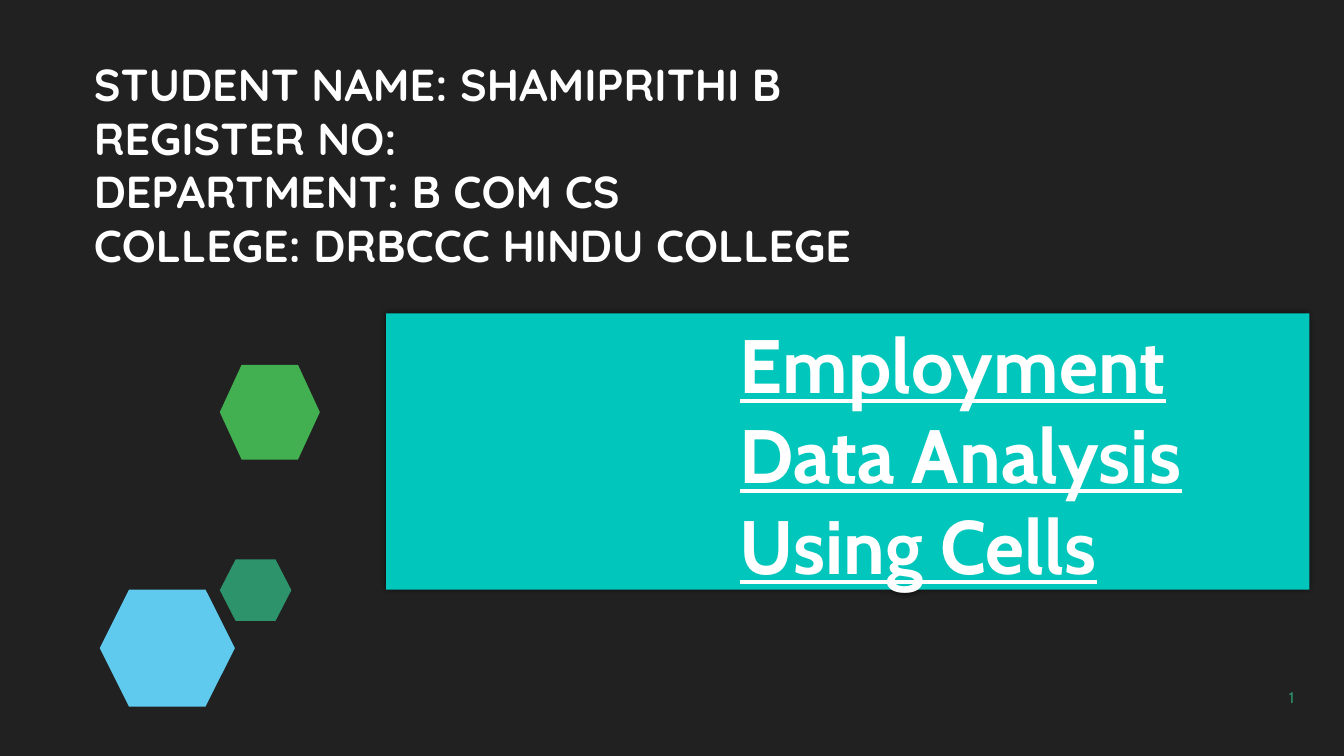
from lxml import etree
from pptx import Presentation
from pptx.dml.color import RGBColor
from pptx.enum.text import MSO_ANCHOR, MSO_AUTO_SIZE, PP_ALIGN
from pptx.oxml.ns import qn
from pptx.util import Pt

TOP, BOTTOM = MSO_ANCHOR.TOP, MSO_ANCHOR.BOTTOM
LEFT, RIGHT = PP_ALIGN.LEFT, PP_ALIGN.RIGHT
NO_AUTOFIT = MSO_AUTO_SIZE.NONE

DARK = RGBColor(0x21, 0x21, 0x21)
WHITE = RGBColor(0xFF, 0xFF, 0xFF)
TURQUOISE = RGBColor(0x00, 0xC6, 0xBB)
BLUE = RGBColor(0x5F, 0xCA, 0xEE)
TEAL = RGBColor(0x2D, 0x93, 0x6B)
GREEN = RGBColor(0x42, 0xAF, 0x51)

TITLE_FONT = "Cabin"
DETAILS_FONT = "Quicksand"

# left, top, width, height, corner inset, colour
HEXAGONS = [
    (71.3, 421.2, 96.5, 83.5, 20.9, BLUE),
    (157, 399.6, 51.1, 43.9, 11.3, TEAL),
    (157, 260.6, 71.5, 67.7, 15.6, GREEN),
]
DETAILS = [
    "STUDENT NAME: SHAMIPRITHI B",
    "REGISTER NO:",
    "DEPARTMENT: B COM CS",
    "COLLEGE: DRBCCC HINDU COLLEGE",
]


def place(sp, left, top, width, height):
    sp.left, sp.top, sp.width, sp.height = map(Pt, (left, top, width, height))


def add_hexagon(slide, left, top, width, height, inset, color):
    right, bottom, middle = left + width, top + height, top + height / 2
    corners = [
        (right - inset, top), (left + inset, top), (left, middle),
        (left + inset, bottom), (right - inset, bottom), (right, middle),
    ]
    points = [(Pt(x), Pt(y)) for x, y in corners]
    builder = slide.shapes.build_freeform(*points[0])
    builder.add_line_segments(points[1:], close=True)
    sp = builder.convert_to_shape()
    sp.fill.solid()
    sp.fill.fore_color.rgb = color
    sp.line.fill.background()
    sp.shadow.inherit = False


def set_frame(tf, anchor, margins=None):
    tf.word_wrap = True
    tf.auto_size = NO_AUTOFIT
    tf.vertical_anchor = anchor
    if margins:
        tf.margin_left, tf.margin_top, tf.margin_right, tf.margin_bottom = map(Pt, margins)


def format_paragraph(p, font, size, color, align=LEFT, before=0, bold=False, spacing=0):
    """Format a paragraph and its runs; spacing is in hundredths of a point."""
    p.alignment = align
    p.space_before = Pt(before)
    for r in p.runs:
        r.font.name = font
        r.font.size = Pt(size)
        r.font.bold = bold
        r.font.color.rgb = color
        if spacing:
            r.font._element.set("spc", str(spacing))


def add_soft_shadow(sp):
    sp.shadow.inherit = False
    effects = sp._element.spPr.find(qn("a:effectLst"))
    shadow = etree.SubElement(effects, qn("a:outerShdw"), blurRad=str(Pt(4)), dist="0", dir="14400000")
    color = etree.SubElement(shadow, qn("a:srgbClr"), val="000000")
    etree.SubElement(color, qn("a:alpha"), val="60000")


def fill_title(sp):
    place(sp, 275.8, 223.9, 659.5, 197.3)
    sp.fill.solid()
    sp.fill.fore_color.rgb = TURQUOISE
    add_soft_shadow(sp)
    tf = sp.text_frame
    tf.text = "Employment Data Analysis Using Cells"
    set_frame(tf, BOTTOM, (0, 1.3, 0, 0))
    p = tf.paragraphs[0]
    format_paragraph(p, TITLE_FONT, 54, WHITE, before=1.3, bold=True, spacing=10)
    p.runs[0].font.underline = True
    p._p.get_or_add_pPr().set("marL", str(Pt(252.7)))


def fill_details(sp):
    place(sp, 59.8, 36.7, 738, 200.9)
    tf = sp.text_frame
    tf.text = "\n".join(DETAILS)
    set_frame(tf, TOP)
    for p in tf.paragraphs:
        format_paragraph(p, DETAILS_FONT, 32, WHITE, bold=True)


def add_slide_number(slide):
    sp = slide.shapes.add_textbox(Pt(841), Pt(465.8), Pt(83.5), Pt(38.9))
    tf = sp.text_frame
    tf.text = "1"
    set_frame(tf, BOTTOM, (0, 0.7, 0, 0))
    p = tf.paragraphs[0]
    format_paragraph(p, TITLE_FONT, 11, TEAL, align=RIGHT, before=0.6, spacing=10)
    field = p.runs[0]._r
    field.tag = qn("a:fld")
    field.set("id", "{B6F15528-21DE-4FAA-801E-634DDDAF4B2B}")
    field.set("type", "slidenum")


def main():
    prs = Presentation()
    prs.slide_width, prs.slide_height = Pt(960), Pt(540)
    slide = prs.slides.add_slide(prs.slide_layouts[0])
    slide.background.fill.solid()
    slide.background.fill.fore_color.rgb = DARK
    for hexagon in HEXAGONS:
        add_hexagon(slide, *hexagon)
    fill_title(slide.shapes.title)
    add_slide_number(slide)
    fill_details(slide.placeholders[1])
    prs.save("out.pptx")


if __name__ == "__main__":
    main()
